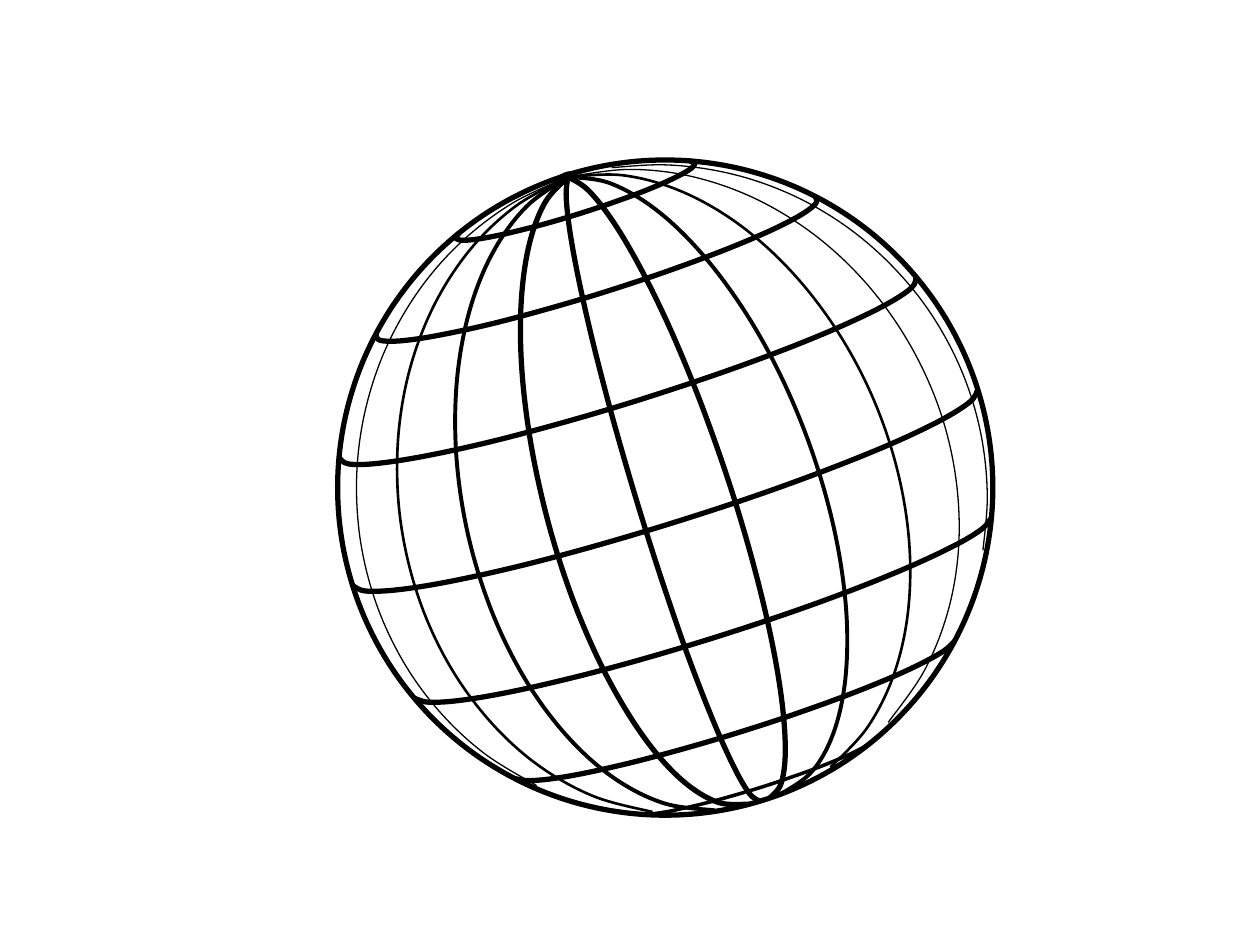
from math import atan, cos, degrees, radians, sin, tan, acos

from lxml import etree
from pptx import Presentation
from pptx.dml.color import RGBColor
from pptx.enum.shapes import MSO_SHAPE
from pptx.oxml.ns import qn
from pptx.util import Inches, Pt

OVAL = MSO_SHAPE.OVAL
COLORS = {"ink": "000000"}
BLANK_LAYOUT = 6
UNITS_PER_INCH = 1000

# The globe in inches and degrees: its axis leans left and nods to the viewer
CENTER_X, CENTER_Y, RADIUS = 5.28, 3.87, 2.6
LEAN, NOD = radians(17.4), radians(6.3)
CURVE_STEPS = 12

OUTLINE_WIDTH = 3
POLE = {"x": 4.51, "y": 1.4, "width": 0.12, "height": 0.05,
        "rotation": 347.4, "line": 2}

PARALLEL_STEP = 22.5
PARALLEL_WIDTHS = [2, 3, 3, 3, 3, 3, 3]  # south to north

FIRST_MERIDIAN, MERIDIAN_STEP = -71.5, 16.5
# West to east: line width, southern end, northern end
MERIDIANS = [
    (0.75, -47, 90), (1.5, -66, 90), (2.25, -76, 90), (3, -90, 90),
    (3, -90, 90), (3, -90, 90), (2.25, -90, 90), (1.5, -71, 90),
    (0.75, -60, 90), (0.75, -27, 82),
]


def project(latitude, longitude):
    """Return the place on the page, in inches, of a point of the globe."""
    lat, lon = radians(latitude), radians(longitude)
    across = RADIUS * cos(lat) * sin(lon)
    along = RADIUS * (sin(lat) * cos(NOD) - cos(lat) * cos(lon) * sin(NOD))
    return (CENTER_X + across * cos(LEAN) - along * sin(LEAN),
            CENTER_Y - across * sin(LEAN) - along * cos(LEAN))


def spread(first, last):
    """Return evenly spaced values from first to last."""
    return [first + (last - first) * step / CURVE_STEPS
            for step in range(CURVE_STEPS + 1)]


def style(shape, width, filled=False):
    """Give a shape an ink line and either an ink fill or none."""
    ink = RGBColor.from_string(COLORS["ink"])
    shape.shadow.inherit = False
    shape.line.color.rgb = ink
    shape.line.width = Pt(width)
    if filled:
        shape.fill.solid()
        shape.fill.fore_color.rgb = ink
    else:
        shape.fill.background()


def add_oval(group, x, y, width, height, line, rotation=0, filled=False):
    """Add an ellipse around a centre given in inches."""
    oval = group.shapes.add_shape(
        OVAL, Inches(x - width / 2), Inches(y - height / 2),
        Inches(width), Inches(height))
    oval.rotation = rotation
    style(oval, line, filled)


def smooth(shape):
    """Turn straight segments into Bezier curves through the same knots."""
    knots = [(int(point.get("x")), int(point.get("y")))
             for point in shape.element.xpath(".//a:pathLst//a:pt")]
    padded = [knots[0], *knots, knots[-1]]
    segments = shape.element.xpath(".//a:lnTo")
    for segment, before, start, end, after in zip(
            segments, padded, padded[1:], padded[2:], padded[3:]):
        first = [s + (e - b) / 6 for b, s, e in zip(before, start, end)]
        second = [e - (a - s) / 6 for s, e, a in zip(start, end, after)]
        curve = etree.Element(qn("a:cubicBezTo"))
        for x, y in (first, second, end):
            etree.SubElement(curve, qn("a:pt"), x=str(round(x)), y=str(round(y)))
        segment.getparent().replace(segment, curve)


def add_curve(group, width, knots):
    """Add one open smooth grid line of the globe."""
    points = [(round(x * UNITS_PER_INCH), round(y * UNITS_PER_INCH))
              for x, y in knots]
    builder = group.shapes.build_freeform(
        *points[0], scale=Inches(1) / UNITS_PER_INCH)
    builder.add_line_segments(points[1:], close=False)
    curve = builder.convert_to_shape()
    smooth(curve)
    style(curve, width)


def add_parallel(group, latitude, width):
    """Add the visible part of a circle of latitude."""
    edge = degrees(acos(-tan(radians(latitude)) * tan(NOD)))
    add_curve(group, width, [project(latitude, longitude)
                             for longitude in spread(-edge, edge)])


def add_meridian(group, longitude, width, south, north):
    """Add the visible part of a meridian between two latitudes."""
    edge = -degrees(atan(cos(radians(longitude)) / tan(NOD)))
    add_curve(group, width, [project(latitude, longitude)
                             for latitude in spread(north, max(south, edge))])


deck = Presentation()
deck.slide_width, deck.slide_height = Inches(10), Inches(7.5)
page = deck.slides.add_slide(deck.slide_layouts[BLANK_LAYOUT])
globe = page.shapes.add_group_shape()
add_oval(globe, **POLE, filled=True)
add_oval(globe, CENTER_X, CENTER_Y, 2 * RADIUS, 2 * RADIUS, OUTLINE_WIDTH)
for row, line_width in enumerate(PARALLEL_WIDTHS):
    add_parallel(globe, (row - len(PARALLEL_WIDTHS) // 2) * PARALLEL_STEP,
                 line_width)
for column, meridian in enumerate(MERIDIANS):
    add_meridian(globe, FIRST_MERIDIAN + column * MERIDIAN_STEP, *meridian)
deck.save("out.pptx")
